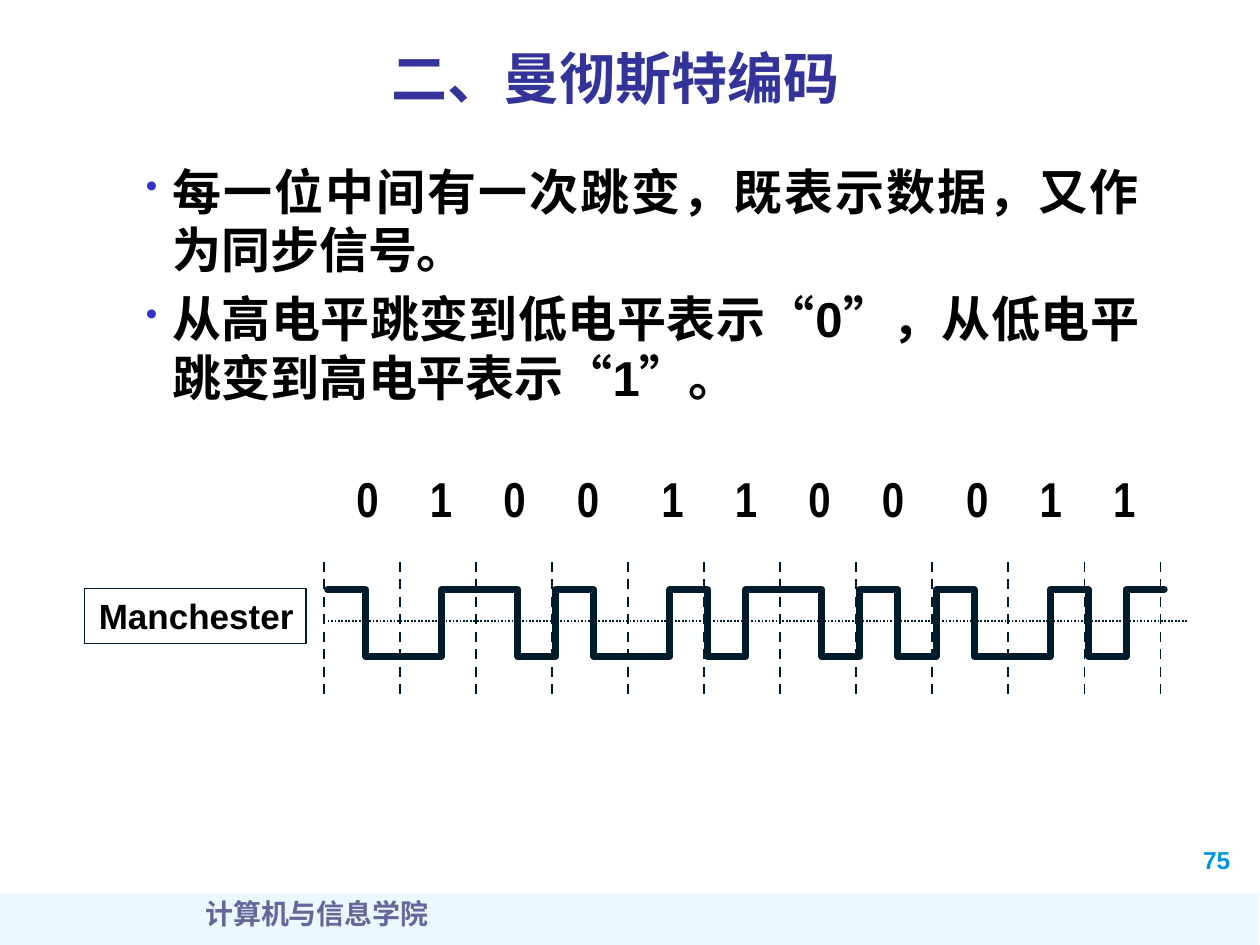
from dataclasses import dataclass

from lxml.etree import SubElement
from pptx import Presentation
from pptx.dml.color import RGBColor
from pptx.enum.dml import MSO_LINE
from pptx.enum.shapes import MSO_CONNECTOR, MSO_SHAPE
from pptx.enum.text import MSO_ANCHOR, MSO_AUTO_SIZE, PP_ALIGN
from pptx.oxml import parse_xml
from pptx.oxml.ns import nsdecls, qn
from pptx.util import Inches, Pt

INK = "001C2A"
BITS = "01001100011"
GRID_LEFT, GRID_RIGHT = 2.57, 9.21
BIT_WIDTH = (GRID_RIGHT - GRID_LEFT) / len(BITS)
WAVE_LEFT, HIGH, LOW = 2.6, 4.68, 5.21
DASH_TOP, DASH_BOTTOM, DASH_COUNT, DASH_LENGTH = 4.46, 5.51, 8, 0.08


@dataclass
class Box:
    left: float
    top: float
    width: float
    height: float

    def lengths(self):
        return [Inches(value) for value in (self.left, self.top, self.width, self.height)]


@dataclass
class Style:
    size: float
    font: str = "Arial"
    color: str = "000000"
    align: PP_ALIGN = PP_ALIGN.LEFT


def rgb(color: str) -> RGBColor:
    return RGBColor.from_string(color)


def add_run(paragraph, text: str, style: Style):
    paragraph.alignment = style.align
    run = paragraph.add_run()
    run.text = text
    run.font.size = Pt(style.size)
    run.font.bold = True
    run.font.color.rgb = rgb(style.color)
    run.font.name = style.font
    return run


def add_text(shapes, box: Box, text: str, style: Style, wrap: bool = True):
    shape = shapes.add_textbox(*box.lengths())
    shape.text_frame.word_wrap = wrap
    add_run(shape.text_frame.paragraphs[0], text, style)
    return shape


def add_line(shapes, start: tuple, end: tuple, dash=None) -> None:
    line = shapes.add_connector(
        MSO_CONNECTOR.STRAIGHT, *[Inches(value) for value in (*start, *end)])
    line.line.color.rgb = rgb(INK)
    line.line.width = Pt(1)
    if dash is not None:
        line.line.dash_style = dash
    SubElement(line._element.spPr, qn("a:effectLst"))


def add_footer(shapes) -> None:
    band = shapes.add_shape(MSO_SHAPE.RECTANGLE, *Box(-0.01, 7.09, 10, 0.44).lengths())
    band.shadow.inherit = False
    band.fill.solid()
    band.fill.fore_color.rgb = rgb("A7E2FF")
    color = band._element.spPr.find(qn("a:solidFill"))[0]
    SubElement(color, qn("a:alpha"), val="21000")
    band.line.fill.background()
    add_text(shapes, Box(9.45, 6.66, 0.59, 0.33), "75", Style(14, color="0094DE"))
    add_text(shapes, Box(0.27, 7.07, 4.49, 0.5), "计算机与信息学院",
             Style(16, "Times New Roman", "666699", PP_ALIGN.CENTER))


def add_title(shapes) -> None:
    title = add_text(shapes, Box(1.06, 0.24, 7.75, 0.75), "二、曼彻斯特编码 ",
                     Style(32, "Times New Roman", "333399", PP_ALIGN.CENTER))
    title.text_frame.vertical_anchor = MSO_ANCHOR.MIDDLE
    properties = title.text_frame.paragraphs[0].runs[0].font._element
    properties.find(qn("a:solidFill")).addnext(parse_xml(
        f'<a:effectLst {nsdecls("a")}><a:outerShdw dist="25400" dir="2700000">'
        '<a:srgbClr val="C0C0C0"/></a:outerShdw></a:effectLst>'))


def add_bullets(shapes, box: Box, items: list[str]) -> None:
    frame = shapes.add_textbox(*box.lengths()).text_frame
    frame.word_wrap = True
    style = Style(28, align=PP_ALIGN.JUSTIFY)
    for index, item in enumerate(items):
        paragraph = frame.add_paragraph() if index else frame.paragraphs[0]
        paragraph.space_before = Pt(5.6 if index else 0)
        properties = paragraph._element.get_or_add_pPr()
        properties.set("marL", str(Inches(0.21)))
        properties.set("indent", str(Inches(-0.21)))
        bullet_color = SubElement(properties, qn("a:buClr"))
        SubElement(bullet_color, qn("a:srgbClr"), val="3333CC")
        SubElement(properties, qn("a:buSzPct"), val="70000")
        SubElement(properties, qn("a:buChar"), char="•")
        add_run(paragraph, item, style)


def add_bit_grid(shapes) -> None:
    pitch = (DASH_BOTTOM - DASH_TOP - DASH_LENGTH) / (DASH_COUNT - 1)
    for column in range(len(BITS) + 1):
        x = GRID_LEFT + column * BIT_WIDTH
        for row in range(DASH_COUNT):
            y = DASH_TOP + row * pitch
            add_line(shapes, (x, y), (x, y + DASH_LENGTH))


def manchester_points() -> list[tuple]:
    """Each bit is two half-bit levels: 0 falls in the middle, 1 rises."""
    levels = [level for bit in BITS
              for level in ((HIGH, LOW) if bit == "0" else (LOW, HIGH))]
    points = []
    for index, level in enumerate(levels):
        x = WAVE_LEFT + index * BIT_WIDTH / 2
        points += [(Inches(x), Inches(level)),
                   (Inches(x + BIT_WIDTH / 2), Inches(level))]
    return points


def add_wave(shapes) -> None:
    start, *rest = manchester_points()
    builder = shapes.build_freeform(*start)
    builder.add_line_segments(rest, close=False)
    wave = builder.convert_to_shape()
    wave.shadow.inherit = False
    wave.fill.background()
    wave.line.color.rgb = rgb(INK)
    wave.line.width = Pt(4)
    outline = wave.line._get_or_add_ln()
    outline.set("cap", "rnd")
    SubElement(outline, qn("a:round"))


def add_wave_label(shapes) -> None:
    label = add_text(shapes, Box(0.67, 4.67, 1.76, 0.44), "Manchester",
                     Style(20, align=PP_ALIGN.RIGHT), wrap=False)
    label.text_frame.auto_size = MSO_AUTO_SIZE.SHAPE_TO_FIT_TEXT
    label.line.color.rgb = rgb(INK)
    label.line.width = Pt(0.75)


def add_bit_labels(shapes) -> None:
    """Bits stand in groups of four, with a wider gap between groups."""
    for index, bit in enumerate(BITS):
        group, place = divmod(index, 4)
        left = 2.73 + group * 2.42 + place * 1.75 / 3
        add_text(shapes, Box(left, 3.67, 0.38, 0.57), bit,
                 Style(28, "Arial Narrow"), wrap=False)


def main() -> None:
    presentation = Presentation()
    presentation.slide_width = Inches(10)
    presentation.slide_height = Inches(7.5)
    shapes = presentation.slides.add_slide(presentation.slide_layouts[6]).shapes

    add_footer(shapes)
    add_title(shapes)
    add_bullets(shapes, Box(1.06, 1.23, 8.08, 2.06), [
        "每一位中间有一次跳变，既表示数据，又作为同步信号。",
        "从高电平跳变到低电平表示“0”，从低电平跳变到高电平表示“1”。",
    ])
    diagram = shapes.add_group_shape().shapes
    add_bit_grid(diagram)
    add_wave(diagram)
    add_wave_label(diagram)
    add_line(diagram, (WAVE_LEFT, 4.93), (9.43, 4.93), MSO_LINE.ROUND_DOT)
    add_bit_labels(shapes.add_group_shape().shapes)

    presentation.save("out.pptx")


if __name__ == "__main__":
    main()
